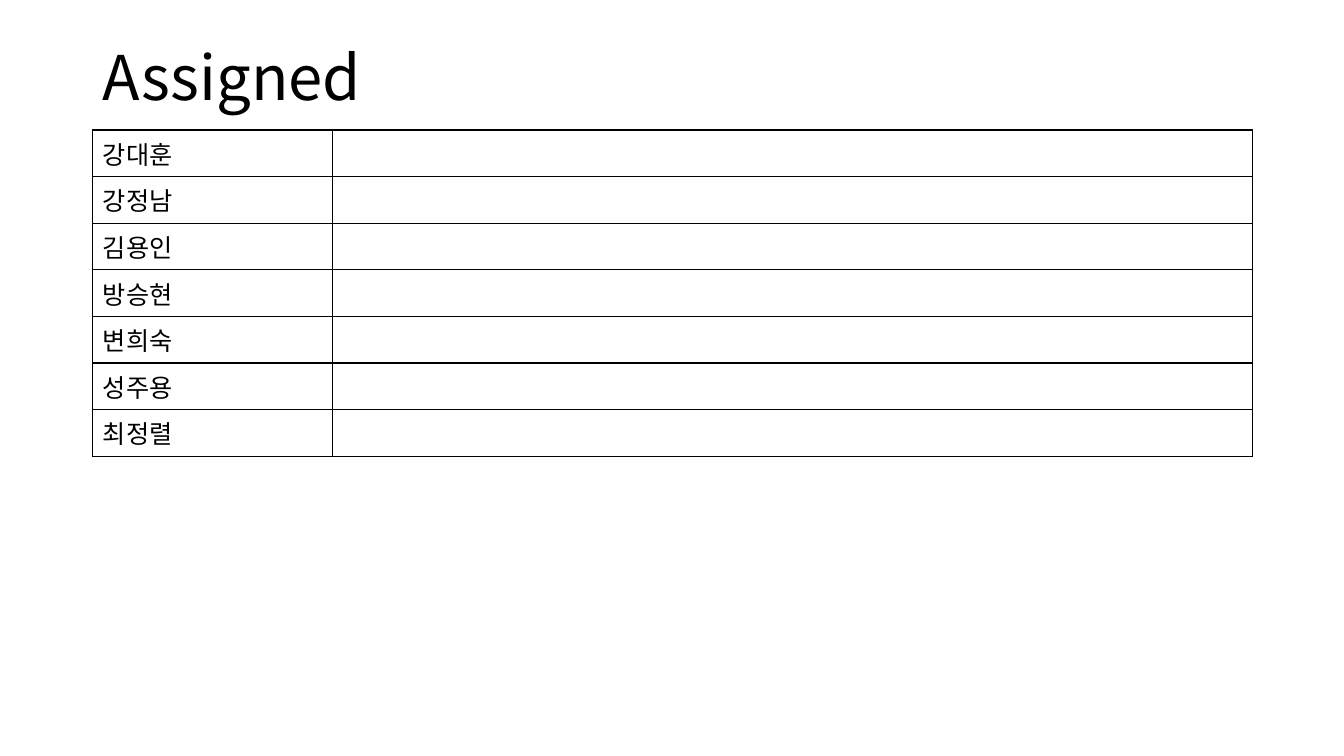
from lxml import etree
from pptx import Presentation
from pptx.dml.color import RGBColor
from pptx.enum.text import MSO_ANCHOR, PP_ALIGN
from pptx.oxml.ns import qn
from pptx.util import Inches, Pt

BLACK = RGBColor(0, 0, 0)
FONT = "Noto Sans CJK KR"
MIDDLE = MSO_ANCHOR.MIDDLE
LEFT = PP_ALIGN.LEFT
NAMES = ["강대훈", "강정남", "김용인", "방승현", "변희숙", "성주용", "최정렬"]
COLS = [2.38, 9.12]


def style(para, size):
    """Format the runs of a paragraph, Korean glyphs included."""
    para.alignment = LEFT
    for run in para.runs:
        font = run.font
        font.name = FONT
        font.size = Pt(size)
        font.color.rgb = BLACK
        east = etree.SubElement(font._element, qn("a:ea"))
        east.set("typeface", FONT)


def border(cell):
    """Draw a thin black line on all four sides of a cell."""
    props = cell._tc.get_or_add_tcPr()
    for pos, side in enumerate(("lnL", "lnR", "lnT", "lnB")):
        line = etree.Element(qn("a:" + side), w=str(Pt(1)))
        fill = etree.SubElement(line, qn("a:solidFill"))
        etree.SubElement(fill, qn("a:srgbClr"), val=str(BLACK))
        props.insert(pos, line)


def add_title(slide, text, left, top, width, height):
    """Place and format the title in the given box."""
    title = slide.shapes.title
    title.left, title.top = Inches(left), Inches(top)
    title.width, title.height = Inches(width), Inches(height)
    frame = title.text_frame
    frame.text = text
    frame.word_wrap = True
    frame.vertical_anchor = MIDDLE
    para = frame.paragraphs[0]
    para.line_spacing = 0.9
    style(para, 44)


def add_roster(slide, left, top, width, height):
    """Add the table of names with an empty column for tasks."""
    box = [Inches(n) for n in (left, top, width, height)]
    table = slide.shapes.add_table(len(NAMES), len(COLS), *box).table
    table.first_row = table.horz_banding = False
    for col, share in zip(table.columns, COLS):
        col.width = Inches(width * share / sum(COLS))
    for row, name in zip(table.rows, NAMES):
        row.cells[0].text = name
        style(row.cells[0].text_frame.paragraphs[0], 18)
        for cell in row.cells:
            cell.fill.background()
            border(cell)


def main():
    """Build the slide and save it."""
    deck = Presentation()
    deck.slide_width, deck.slide_height = Inches(13.33), Inches(7.5)
    slide = deck.slides.add_slide(deck.slide_layouts[5])
    add_title(slide, "Assigned", 0.92, 0.4, 11.5, 0.79)
    add_roster(slide, 0.92, 1.29, 11.5, 2.84)
    deck.save("out.pptx")


main()
